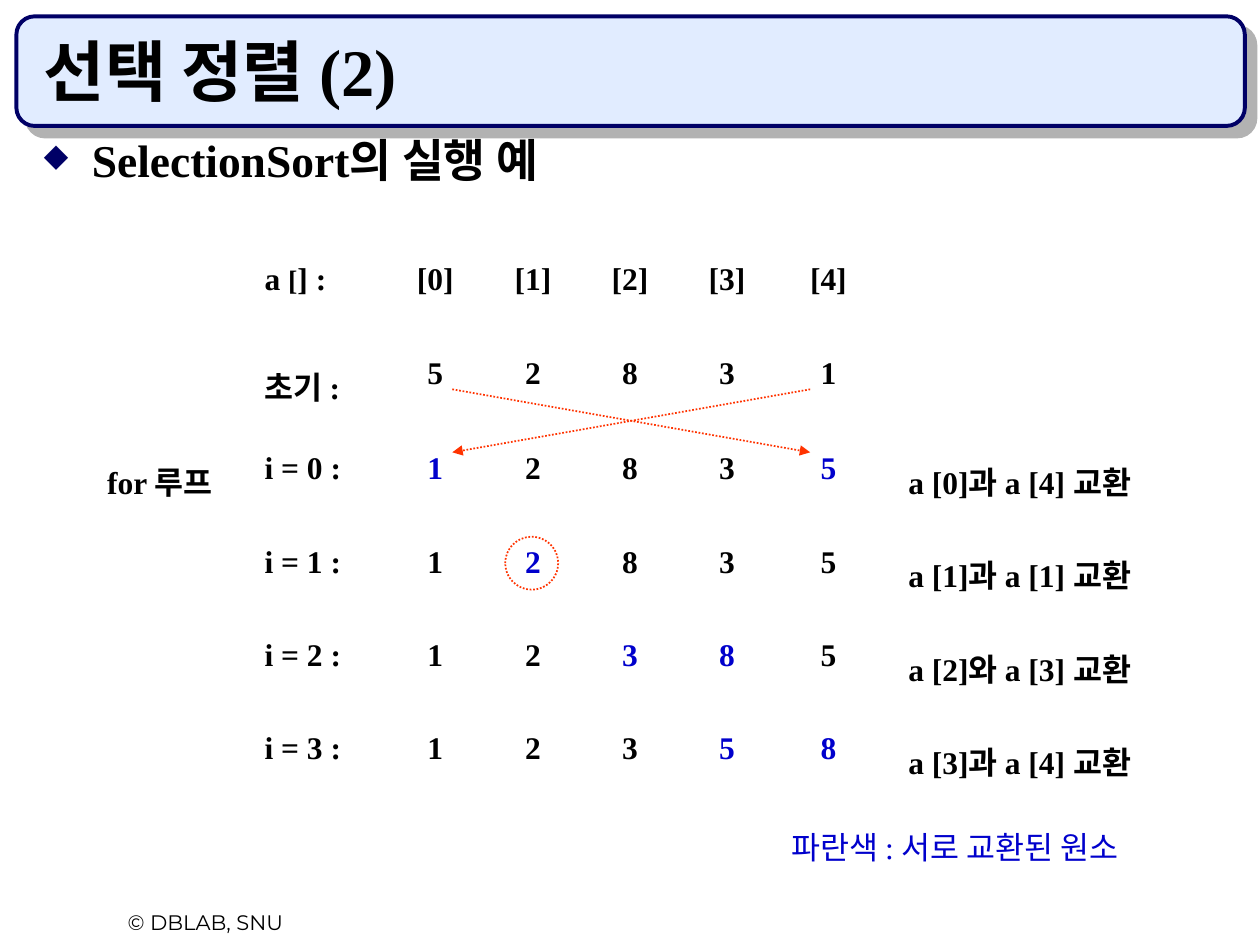
import pptx
import pptx.dml.color
import pptx.enum.dml
import pptx.enum.shapes
import pptx.enum.text
import pptx.oxml
import pptx.oxml.ns
import pptx.util

Inches = pptx.util.Inches
Pt = pptx.util.Pt
RGBColor = pptx.dml.color.RGBColor
Anchor = pptx.enum.text.MSO_ANCHOR
Align = pptx.enum.text.PP_ALIGN
Shape = pptx.enum.shapes.MSO_SHAPE
qn = pptx.oxml.ns.qn

BLACK = RGBColor(0x00, 0x00, 0x00)
NAVY = RGBColor(0x00, 0x00, 0x66)
PALE_BLUE = RGBColor(0xE1, 0xEC, 0xFF)
SWAP_BLUE = RGBColor(0x00, 0x00, 0xCC)
ORANGE = RGBColor(0xFF, 0x33, 0x00)
SHADOW_GREY = RGBColor(0xB2, 0xB2, 0xB2)

COLUMN_WIDTHS = [1.25, 1.08, 0.75, 0.8, 0.74, 0.8, 0.81, 2.68]
ROW_HEIGHTS = [0.74, 0.76, 0.74, 0.74, 0.74, 0.74]
COMMENT_COLUMN = len(COLUMN_WIDTHS) - 1
# Loop label, step, array values, indexes of swapped values, comment
STEPS = [
    ("", [("a ", 18), ("[", 16), ("] :", 18)],
     ["[0]", "[1]", "[2]", "[3]", "[4]"], (), ""),
    ("", [("초기 :", 18)], "52831", (), ""),
    ("for 루프", [("i = 0 :", 18)], "12835", (0, 4), "a [0]과 a [4] 교환"),
    ("", [("i = 1 :", 18)], "12835", (1,), "a [1]과 a [1] 교환"),
    ("", [("i = 2 :", 18)], "12385", (2, 3), "a [2]와 a [3] 교환"),
    ("", [("i = 3 :", 18)], "12358", (3, 4), "a [3]과 a [4] 교환"),
]


def add_xml(parent, tag, **attributes):
    child = pptx.oxml.parse_xml(f'<a:{tag} {pptx.oxml.ns.nsdecls("a")}/>')
    for name, value in attributes.items():
        child.set(name, str(value))
    parent.append(child)
    return child


class SlideBuilder:
    font = "Times New Roman"

    def __init__(self, slide):
        self.slide = slide

    def span(self, para, text, size, color=BLACK, bold=True, font=None):
        span = para.add_run()
        span.text = text
        span.font.name = font or self.font
        span.font.size = Pt(size)
        span.font.bold = bold
        span.font.color.rgb = color

    def text(self, place, text, size, anchor=Anchor.TOP, align=Align.LEFT, **style):
        box = self.slide.shapes.add_textbox(*map(Inches, place))
        box.text_frame.word_wrap = True
        box.text_frame.vertical_anchor = anchor
        para = box.text_frame.paragraphs[0]
        para.alignment = align
        self.span(para, text, size, **style)
        return para

    def bullet(self, place, text, size):
        para = self.text(place, text, size)
        properties = para._p.get_or_add_pPr()
        properties.set("marL", str(Inches(0.38)))
        properties.set("indent", str(Inches(-0.38)))
        add_xml(add_xml(properties, "buClr"), "srgbClr", val=NAVY)
        add_xml(properties, "buSzPct", val=70000)
        add_xml(properties, "buChar", char="◆")
        para.line_spacing = 0.8

    def banner(self, place):
        banner = self.slide.shapes.add_shape(Shape.ROUNDED_RECTANGLE, *map(Inches, place))
        banner.fill.solid()
        banner.fill.fore_color.rgb = PALE_BLUE
        banner.line.color.rgb = NAVY
        banner.line.width = Pt(2.25)
        banner.shadow.inherit = False
        effects = banner.element.spPr.find(qn("a:effectLst"))
        shadow = add_xml(effects, "outerShdw", dist=Pt(8.5), dir=45 * 60000,
                         algn="ctr", rotWithShape=0)
        add_xml(shadow, "srgbClr", val=SHADOW_GREY)

    def dotted(self, line):
        line.color.rgb = ORANGE
        line.width = Pt(1)
        line.dash_style = pptx.enum.dml.MSO_LINE.ROUND_DOT

    def arrow(self, start, end):
        arrow = self.slide.shapes.add_connector(
            pptx.enum.shapes.MSO_CONNECTOR.STRAIGHT, *map(Inches, start + end))
        self.dotted(arrow.line)
        properties = arrow.element.spPr
        add_xml(properties.find(qn("a:ln")), "tailEnd", type="triangle")
        add_xml(properties, "effectLst")

    def ring(self, place):
        ring = self.slide.shapes.add_shape(Shape.OVAL, *map(Inches, place))
        ring.fill.background()
        ring.shadow.inherit = False
        self.dotted(ring.line)

    def cell(self, cell, spans, align=Align.LEFT, color=BLACK):
        para = cell.text_frame.paragraphs[0]
        para.alignment = align
        para.line_spacing = 1.6
        for text, size in spans:
            self.span(para, text, size, color)

    def step_table(self, left, top):
        table = self.slide.shapes.add_table(
            len(STEPS), len(COLUMN_WIDTHS), Inches(left), Inches(top),
            Inches(sum(COLUMN_WIDTHS)), Inches(sum(ROW_HEIGHTS))).table
        table.first_row = table.horz_banding = False
        for column, width in zip(table.columns, COLUMN_WIDTHS):
            column.width = Inches(width)
        for row, height in zip(table.rows, ROW_HEIGHTS):
            row.height = Inches(height)
        for cell in table.iter_cells():
            cell.fill.background()
        for row, (loop, step, values, swapped, comment) in enumerate(STEPS):
            if loop:
                self.cell(table.cell(row, 0), [(loop, 18)])
            self.cell(table.cell(row, 1), step)
            for index, value in enumerate(values):
                color = SWAP_BLUE if index in swapped else BLACK
                self.cell(table.cell(row, index + 2), [(value, 18)], Align.CENTER, color)
            if comment:
                comment_cell = table.cell(row, COMMENT_COLUMN)
                comment_cell.margin_left = Inches(0.23)
                self.cell(comment_cell, [(comment, 18)])


def main():
    deck = pptx.Presentation()
    deck.slide_width = Inches(10)
    deck.slide_height = Inches(7.5)
    page = SlideBuilder(deck.slides.add_slide(deck.slide_layouts[6]))

    page.banner((0.13, 0.13, 9.75, 0.87))
    page.text((0.42, 7.17, 2.42, 0.3), "© DBLAB, SNU", 12, align=Align.CENTER,
              bold=False, font="Montserrat")
    page.text((0.25, 0.25, 9.42, 0.67), "선택 정렬 (2)", 38, anchor=Anchor.BOTTOM)
    page.bullet((0.25, 1.08, 9.42, 5.83), "SelectionSort의 실행 예", 26)
    page.step_table(0.75, 1.87)
    page.text((6.18, 6.52, 3.08, 0.4), "파란색 : 서로 교환된 원소", 18,
              color=SWAP_BLUE, bold=False)
    page.arrow((3.59, 3.09), (6.43, 3.59))
    page.arrow((6.43, 3.09), (3.59, 3.59))
    page.ring((4.01, 4.26, 0.42, 0.42))

    deck.save("out.pptx")


if __name__ == "__main__":
    main()
